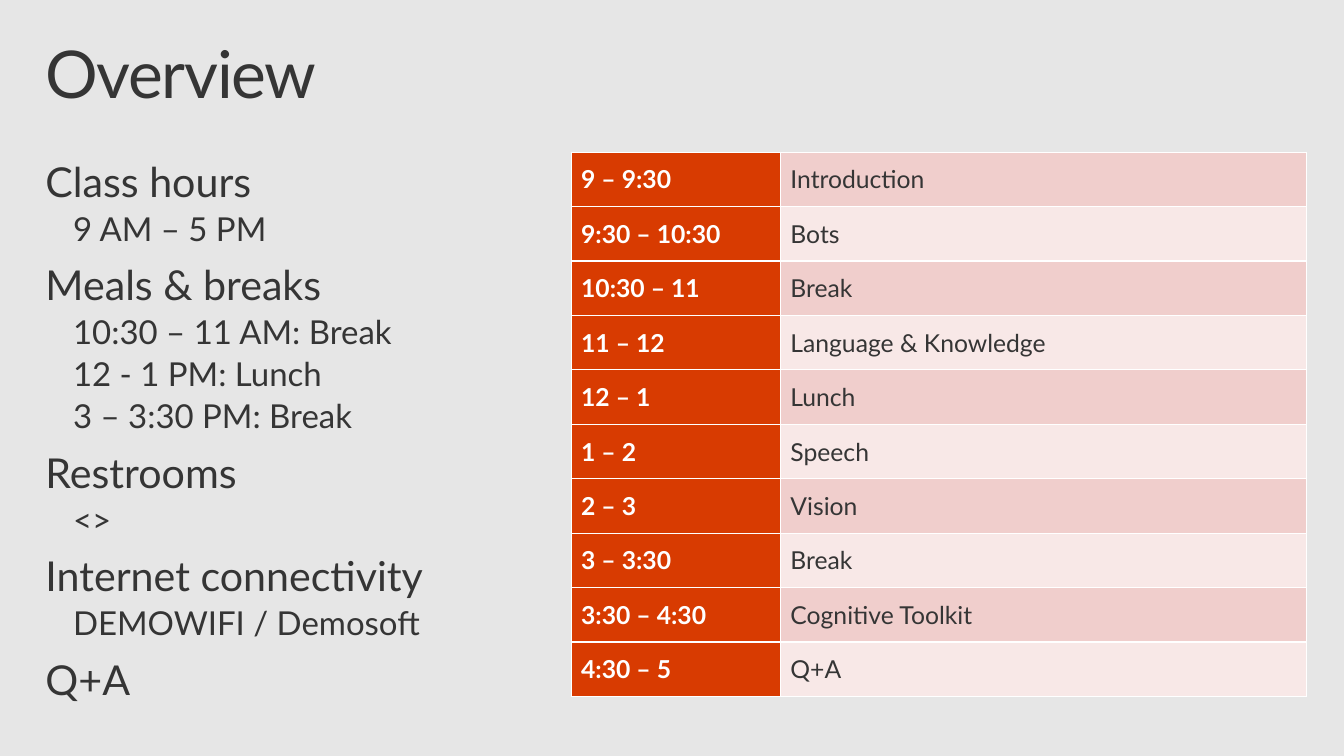
import pptx
import pptx.dml.color
import pptx.enum.text
import pptx.oxml
import pptx.oxml.ns
import pptx.util

Cm = pptx.util.Cm
Pt = pptx.util.Pt

FONT = "Lato"
INK = "353535"
WHITE = "FFFFFF"
ORANGE = "D83B01"
BANDS = ("F0CECC", "F8E8E7")

TOPICS = [
    ("Class hours", ["9 AM – 5 PM"]),
    ("Meals & breaks", ["10:30 – 11 AM: Break", "12 - 1 PM: Lunch", "3 – 3:30 PM: Break"]),
    ("Restrooms", ["<>"]),
    ("Internet connectivity", ["DEMOWIFI / Demosoft"]),
    ("Q+A", []),
]
AGENDA = [
    ("9 – 9:30", "Introduction"),
    ("9:30 – 10:30", "Bots"),
    ("10:30 – 11", "Break"),
    ("11 – 12", "Language & Knowledge"),
    ("12 – 1", "Lunch"),
    ("1 – 2", "Speech"),
    ("2 – 3", "Vision"),
    ("3 – 3:30", "Break"),
    ("3:30 – 4:30", "Cognitive Toolkit"),
    ("4:30 – 5", "Q+A"),
]


def paint(fill, color):
    """Make a fill solid in a hex colour."""
    fill.solid()
    fill.fore_color.rgb = pptx.dml.color.RGBColor.from_string(color)


def add_span(para, text, size, color=INK, bold=False):
    """Add one formatted run to a paragraph."""
    span = para.add_run()
    span.text = text
    span.font.name = FONT
    span.font.size = Pt(size)
    span.font.bold = bold
    paint(span.font.fill, color)
    return span


def set_frame(frame):
    """Give a text frame its margins, wrapping and top anchor."""
    frame.margin_left = frame.margin_right = Cm(0.41)
    frame.margin_top = frame.margin_bottom = Cm(0.25)
    frame.word_wrap = True
    frame.auto_size = pptx.enum.text.MSO_AUTO_SIZE.NONE
    frame.vertical_anchor = pptx.enum.text.MSO_ANCHOR.TOP


def set_title(slide, text):
    """Place and format the title placeholder."""
    title = slide.shapes.title
    title.left, title.top, title.width, title.height = Cm(0.76), Cm(0.81), Cm(33.02), Cm(2.54)
    set_frame(title.text_frame)
    para = title.text_frame.paragraphs[0]
    para.alignment = pptx.enum.text.PP_ALIGN.LEFT
    para.line_spacing = 0.9
    span = add_span(para, text, 48)
    span.font._element.set("spc", "-100")


def add_topics(slide, topics):
    """Add the list of topics with their indented details."""
    box = slide.shapes.add_textbox(Cm(0.76), Cm(3.91), Cm(15.24), Cm(14.76))
    frame = box.text_frame
    set_frame(frame)
    lines = []
    for heading, details in topics:
        lines.append((heading, 0, 30, 12.2))
        lines += [(detail, 1, 24, 4.8) for detail in details]
    for index, (text, level, size, space) in enumerate(lines):
        para = frame.add_paragraph() if index else frame.paragraphs[0]
        para.level = level
        para.line_spacing = 0.9
        para.space_before = Pt(space if index else 0)
        if level:
            para._p.get_or_add_pPr().set("marL", str(Cm(0.71)))
        add_span(para, text, size)


def set_borders(cell, color):
    """Draw a one-point line on every side of a cell."""
    properties = cell._tc.get_or_add_tcPr()
    for side in ("lnL", "lnR", "lnT", "lnB"):
        properties.append(pptx.oxml.parse_xml(
            f'<a:{side} {pptx.oxml.ns.nsdecls("a")} w="{Pt(1)}"><a:solidFill>'
            f'<a:srgbClr val="{color}"/></a:solidFill></a:{side}>'))


def fill_cell(cell, text, background, color, bold):
    """Write and colour one table cell."""
    set_borders(cell, WHITE)
    paint(cell.fill, background)
    cell.vertical_anchor = pptx.enum.text.MSO_ANCHOR.MIDDLE
    add_span(cell.text_frame.paragraphs[0], text, 18, color, bold)


def add_agenda(slide, agenda):
    """Add the table of times and sessions."""
    row_height = Cm(1.4)
    table = slide.shapes.add_table(
        len(agenda), 2, Cm(14.68), Cm(3.91), Cm(18.89), row_height * len(agenda)).table
    table.first_row = table.horz_banding = False
    table.columns[0].width = Cm(5.38)
    table.columns[1].width = Cm(13.51)
    for index, (time, session) in enumerate(agenda):
        table.rows[index].height = row_height
        fill_cell(table.cell(index, 0), time, ORANGE, WHITE, True)
        fill_cell(table.cell(index, 1), session, BANDS[index % 2], INK, False)


def main():
    """Build and save the overview slide."""
    deck = pptx.Presentation()
    deck.slide_width, deck.slide_height = Cm(34.54), Cm(19.43)
    page = deck.slides.add_slide(deck.slide_layouts.get_by_name("Title Only"))
    paint(page.background.fill, "E6E6E6")
    set_title(page, "Overview")
    add_topics(page, TOPICS)
    add_agenda(page, AGENDA)
    deck.save("out.pptx")


if __name__ == "__main__":
    main()
